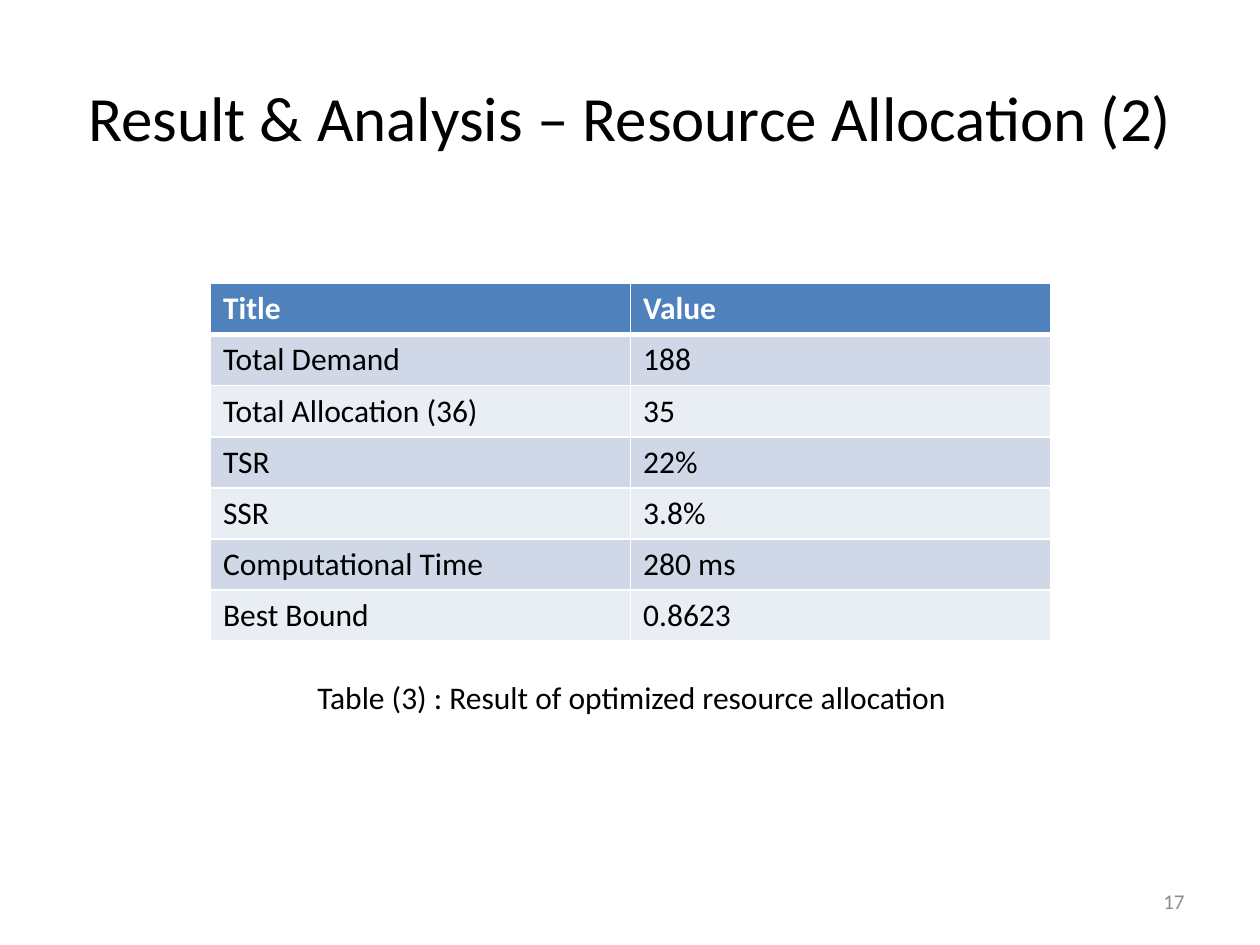
from lxml import etree
from pptx import Presentation
from pptx.dml.color import RGBColor
from pptx.enum import text
from pptx.oxml import ns
from pptx.util import Inches, Pt

FONT = "Calibri"
BLACK, WHITE, GRAY = "000000", "FFFFFF", "8C8C8C"
HEADER_FILL, BAND_FILLS = "4F81BD", ("D0D8E8", "E9EDF4")
ROWS = [
    ("Title", "Value"),
    ("Total Demand", "188"),
    ("Total Allocation (36)", "35"),
    ("TSR", "22%"),
    ("SSR", "3.8%"),
    ("Computational Time", "280 ms"),
    ("Best Bound", "0.8623"),
]


def color(value):
    """Return the colour for a hex string."""
    return RGBColor.from_string(value)


def style(p, size, hex_color, bold=False):
    """Set the font of a paragraph."""
    p.font.name, p.font.size, p.font.bold = FONT, Pt(size), bold
    p.font.color.rgb = color(hex_color)


def add_text(slide, box, content, size, hex_color, align, anchor, wrap=True):
    """Place one paragraph of text in a box."""
    tf = slide.shapes.add_textbox(*map(Inches, box)).text_frame
    tf.word_wrap, tf.vertical_anchor = wrap, anchor
    p = tf.paragraphs[0]
    p.text, p.alignment = content, align
    style(p, size, hex_color)
    return tf


def add_border(cell, side, width):
    """Add a white line on one side of a cell."""
    ln = etree.SubElement(cell._tc.get_or_add_tcPr(), ns.qn(f"a:ln{side}"), w=str(Pt(width)))
    fill = etree.SubElement(ln, ns.qn("a:solidFill"))
    etree.SubElement(fill, ns.qn("a:srgbClr"), val=WHITE)


def add_results(slide, box):
    """Place the results table with a header and banded rows."""
    table = slide.shapes.add_table(len(ROWS), len(ROWS[0]), *map(Inches, box)).table
    for i, row in enumerate(ROWS):
        header = i == 0
        for j, value in enumerate(row):
            cell = table.cell(i, j)
            widths = {"L": 1, "R": 1, "T": 3 if i == 1 else 1, "B": 3 if header else 1}
            for side, width in widths.items():
                add_border(cell, side, width)
            cell.fill.solid()
            cell.fill.fore_color.rgb = color(HEADER_FILL if header else BAND_FILLS[(i - 1) % 2])
            cell.text = value
            style(cell.text_frame.paragraphs[0], 18, WHITE if header else BLACK, header)


def add_caption(slide, box):
    """Place the table caption."""
    tf = add_text(slide, box, "Table (3) : Result of optimized resource allocation", 18, BLACK,
                  text.PP_ALIGN.LEFT, text.MSO_ANCHOR.TOP, wrap=False)
    tf.auto_size = text.MSO_AUTO_SIZE.SHAPE_TO_FIT_TEXT


def main():
    """Build and save the slide."""
    prs = Presentation()
    prs.slide_width, prs.slide_height = Inches(10), Inches(7.5)
    slide = prs.slides.add_slide(prs.slide_layouts[6])
    middle = text.MSO_ANCHOR.MIDDLE
    add_text(slide, (0.5, 0.3, 9, 1.25), "Result & Analysis – Resource Allocation (2)", 36, BLACK,
             text.PP_ALIGN.CENTER, middle)
    add_results(slide, (1.67, 2.25, 6.67, 2.84))
    add_caption(slide, (2.42, 5.33, 5.26, 0.4))
    add_text(slide, (7.17, 6.95, 2.33, 0.4), "17", 12, GRAY, text.PP_ALIGN.RIGHT, middle)
    prs.save("out.pptx")


if __name__ == "__main__":
    main()
